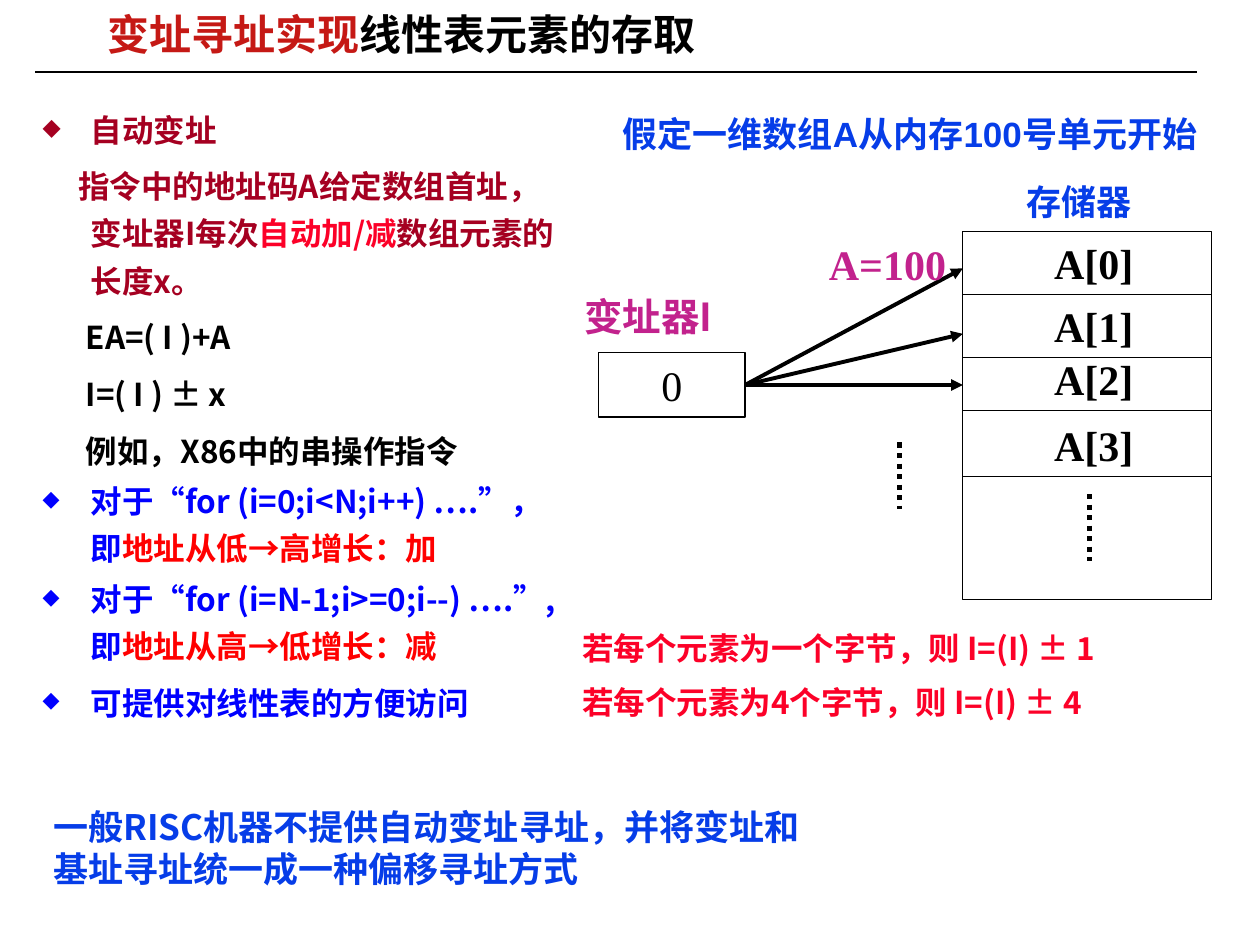
from lxml.etree import SubElement
from pptx import Presentation
from pptx.dml.color import RGBColor
from pptx.enum.dml import MSO_LINE
from pptx.enum.shapes import MSO_CONNECTOR, MSO_SHAPE
from pptx.enum.text import MSO_ANCHOR, PP_ALIGN
from pptx.oxml.ns import qn
from pptx.util import Cm, Pt

SANS, ARIAL, SERIF = "Noto Sans CJK SC", "Arial", "Times New Roman"
BLACK, WHITE = "000000", "FFFFFF"
BLUE, DEEP_BLUE = "063DE8", "0000FF"
RED, PURE_RED, TITLE_RED, DARK_RED = "FC0128", "FF0000", "C51915", "A50021"
MAGENTA = "C2228D"
WIDE, NARROW = (0.25, 0.13), (0.18, 0.08)


def color(hex_string):
    return RGBColor.from_string(hex_string)


class SlideBuilder:
    """Holds the slide being built and the shared text and line style."""

    def __init__(self, slide, font=SANS, size=18):
        self.slide = slide
        self.font = font
        self.size = size

    def place(self, shape, left, top, width, height):
        shape.left, shape.top = Cm(left), Cm(top)
        shape.width, shape.height = Cm(width), Cm(height)

    def frame(self, shape, margins, anchor=MSO_ANCHOR.TOP):
        text_frame = shape.text_frame
        text_frame.word_wrap = True
        text_frame.vertical_anchor = anchor
        text_frame.margin_left = text_frame.margin_right = Cm(margins[0])
        text_frame.margin_top = text_frame.margin_bottom = Cm(margins[1])
        return text_frame

    def runs(self, paragraph, parts, font=None, size=None, bold=True):
        """Fill a paragraph with (text, colour) parts."""
        for text, hex_string in parts:
            run = paragraph.add_run()
            run.text = text
            run.font.size = Pt(size or self.size)
            run.font.bold = bold
            run.font.color.rgb = color(hex_string)
            run.font.name = font or self.font
            SubElement(run.font._element, qn("a:ea"), typeface=font or self.font)

    def title(self, box, parts):
        title = self.slide.shapes.title
        self.place(title, *box)
        paragraph = self.frame(title, NARROW, MSO_ANCHOR.MIDDLE).paragraphs[0]
        paragraph.alignment = PP_ALIGN.LEFT
        paragraph.line_spacing = 0.87
        self.runs(paragraph, parts, ARIAL, 24)

    def text(self, box, lines, hex_string, font=None, size=None, margins=NARROW):
        shape = self.slide.shapes.add_textbox(*map(Cm, box))
        text_frame = self.frame(shape, margins)
        for index, line in enumerate(lines):
            paragraph = text_frame.add_paragraph() if index else text_frame.paragraphs[0]
            if index:
                paragraph.space_before = Pt((size or self.size) / 2)
            self.runs(paragraph, [(line, hex_string)], font, size)

    def outline(self, box, items):
        """Each item is (bullet size in %, first-line indent in cm, space before, parts)."""
        text_frame = self.frame(self.slide.shapes.add_textbox(*map(Cm, box)), WIDE)
        for index, (bullet, indent, space, parts) in enumerate(items):
            paragraph = text_frame.add_paragraph() if index else text_frame.paragraphs[0]
            paragraph.line_spacing = 1.25
            paragraph.space_before = Pt(space)
            self.runs(paragraph, parts)
            properties = paragraph._p.get_or_add_pPr()
            properties.set("marL", str(Cm(0.97)))
            properties.set("indent", str(Cm(indent)))
            if bullet:
                SubElement(properties, qn("a:buSzPct"), val=str(bullet * 1000))
                SubElement(properties, qn("a:buChar"), char="◆")

    def rectangle(self, box, fill=None, text=None):
        shape = self.slide.shapes.add_shape(MSO_SHAPE.RECTANGLE, *map(Cm, box))
        shape.shadow.inherit = False
        if fill:
            shape.fill.solid()
            shape.fill.fore_color.rgb = color(fill)
        else:
            shape.fill.background()
        shape.line.color.rgb = color(BLACK)
        shape.line.width = Pt(0.75)
        if text:
            paragraph = self.frame(shape, WIDE, MSO_ANCHOR.MIDDLE).paragraphs[0]
            paragraph.alignment = PP_ALIGN.CENTER
            self.runs(paragraph, [(text, BLACK)], SERIF, 24, bold=False)
        return shape

    def line(self, start, end, width, dotted=False):
        connector = self.slide.shapes.add_connector(
            MSO_CONNECTOR.STRAIGHT, *map(Cm, start + end))
        connector.line.color.rgb = color(BLACK)
        connector.line.width = Pt(width)
        if dotted:
            connector.line.dash_style = MSO_LINE.ROUND_DOT
        SubElement(connector._element.spPr, qn("a:effectLst"))
        return connector

    def arrow(self, source, start, end):
        connector = self.line(start, end, 2.25)
        connector.begin_connect(source, 3)
        SubElement(connector.line._get_or_add_ln(), qn("a:tailEnd"), type="triangle")


def draw_memory(builder):
    left, top, width, height = 19.41, 4.67, 5.02, 7.42
    row_bottoms = (5.94, 7.21, 8.28, 9.6)
    register = builder.rectangle((12.07, 7.11, 2.95, 1.3), WHITE, "0")
    for target in (6.73, 5.41, 7.76):
        builder.arrow(register, (15.02, 7.76), (left, target))
    builder.rectangle((left, top, width, height))
    for index, bottom in enumerate(row_bottoms):
        builder.line((left, bottom), (left + width, bottom), 0.75)
        builder.text((21, bottom - 1.28, 3.02, 1.27), [f"A[{index}]"],
                     BLACK, SERIF, 24, WIDE)
    for x, y in ((18.14, 8.92), (21.97, 9.96)):
        builder.line((x, y), (x, y + 1.34), 3, dotted=True)
    builder.text((16.46, 4.67, 2.95, 1.27), ["A=100"], MAGENTA, SERIF, 24, WIDE)
    builder.text((11.53, 5.77, 3.48, 1.19), ["变址器I"], MAGENTA, size=22, margins=WIDE)
    builder.text((20.52, 3.56, 3.99, 0.99), ["存储器"], BLUE, ARIAL, 20)


def main():
    presentation = Presentation()
    presentation.slide_width, presentation.slide_height = Cm(25.4), Cm(19.05)
    builder = SlideBuilder(presentation.slides.add_slide(presentation.slide_layouts[5]))

    builder.line((0.71, 1.45), (24.13, 1.45), 1)
    builder.title((1.98, 0.25, 15.75, 1.02),
                  [("变址寻址实现", TITLE_RED), ("线性表元素的存取", BLACK)])
    builder.outline((0.61, 1.91, 10.95, 15.75), [
        (75, -0.97, 5.4, [("自动变址", DARK_RED)]),
        (None, -0.25, 5.4, [("指令中的地址码A给定数组首址，变址器I每次", DARK_RED),
                            ("自动加/减", RED), ("数组元素的长度x。", DARK_RED)]),
        (None, -0.1, 5.4, [("EA=( I )+A", BLACK)]),
        (None, -0.1, 5.4, [("I=( I ) ± x", BLACK)]),
        (None, -0.1, 5.4, [("例如，X86中的串操作指令", BLACK)]),
        (70, -0.97, 1.8, [("对于“for (i=0;i<N;i++) ….”，即", DEEP_BLUE),
                          ("地址从低→高增长：加", PURE_RED)]),
        (70, -0.97, 1.8, [("对于“for (i=N-1;i>=0;i--) ….”,即", DEEP_BLUE),
                          ("地址从高→低增长：减", PURE_RED)]),
        (70, -0.97, 5.4, [("可提供对线性表的方便访问", DEEP_BLUE)]),
    ])
    builder.text((11.56, 12.6, 12.57, 2.06),
                 ["若每个元素为一个字节，则 I=(I) ± 1",
                  "若每个元素为4个字节，则 I=(I) ± 4"], RED)
    draw_memory(builder)
    builder.text((12.37, 2.18, 12.37, 0.99),
                 ["假定一维数组A从内存100号单元开始"], BLUE, ARIAL, 20)
    builder.text((0.89, 16.15, 15.57, 1.85),
                 ["一般RISC机器不提供自动变址寻址，并将变址和基址寻址统一成一种偏移寻址方式"],
                 BLUE, size=20)
    presentation.save("out.pptx")


if __name__ == "__main__":
    main()
